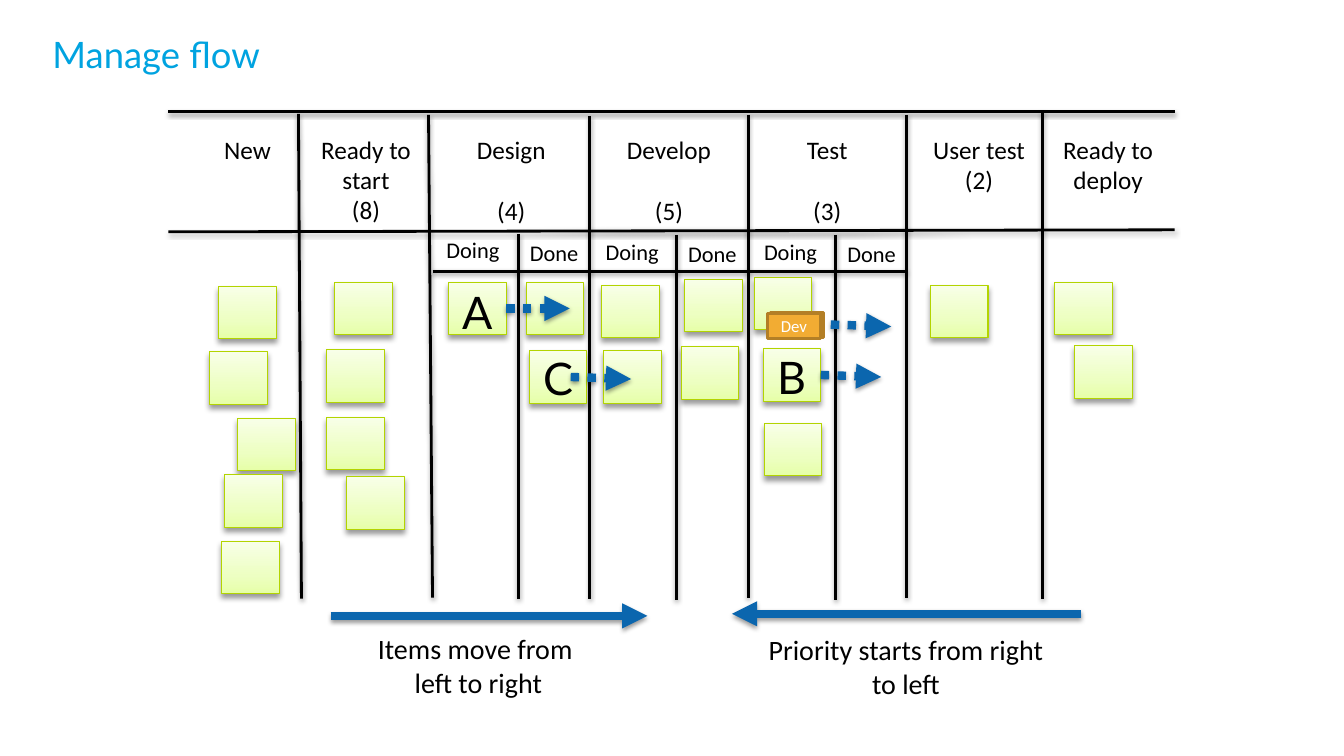
"""Build a Kanban board slide that shows how work items flow."""
import copy

import lxml.etree
import pptx
import pptx.dml.color
import pptx.enum.dml
import pptx.enum.shapes
import pptx.enum.text
import pptx.oxml.ns
import pptx.util

RGB = pptx.dml.color.RGBColor
BLACK = RGB(0x00, 0x00, 0x00)
WHITE = RGB(0xFF, 0xFF, 0xFF)
TITLE_BLUE = RGB(0x00, 0xA3, 0xE0)
ARROW_BLUE = RGB(0x0B, 0x66, 0xAE)
NOTE_EDGE = RGB(0xB3, 0xD4, 0x00)
NOTE_STOPS = [(0, RGB(0xE6, 0xFF, 0xA8)), (0.35, RGB(0xED, 0xFF, 0xC2)), (1, RGB(0xF8, 0xFF, 0xE8))]
TAG_FILL = RGB(0xF2, 0xAC, 0x33)
TAG_EDGE = RGB(0xB3, 0x7F, 0x26)

PX = 9144
NOTE_W, NOTE_H = 57, 52
RECT = pptx.enum.shapes.MSO_SHAPE.RECTANGLE
STRAIGHT = pptx.enum.shapes.MSO_CONNECTOR.STRAIGHT
CENTER = pptx.enum.text.PP_ALIGN.CENTER
LEFT = pptx.enum.text.PP_ALIGN.LEFT
MIDDLE = pptx.enum.text.MSO_ANCHOR.MIDDLE
GROW = pptx.enum.text.MSO_AUTO_SIZE.SHAPE_TO_FIT_TEXT
qn = pptx.oxml.ns.qn

RULES = [
    (167, 111, 1165, 111), (167, 230, 1165, 228), (429, 269, 899, 269),
    (296, 113, 299, 594), (425, 114, 429, 593), (585, 115, 585, 594),
    (742, 114, 742, 593), (899, 114, 899, 593), (1034, 110, 1034, 594),
]
HEADINGS = [
    (190, 111, 40, ["New"], 0), (301, 124, 101, ["Ready to start", "(8)"], 0),
    (427, 160, 101, ["Design", "(4)"], 22), (585, 157, 101, ["Develop", "(5)"], 22),
    (743, 155, 101, ["Test", "(3)"], 22), (909, 124, 101, ["User test", "(2)"], 0),
    (1033, 132, 71, ["Ready to deploy"], 0),
]
SPLITS = [(425, 229, 514, 232), (583, 231, 671, 233), (740, 231, 829, 233)]
NOTES = [
    (217, 284), (208, 349), (236, 415), (223, 471), (220, 537),
    (332, 280), (324, 347), (324, 414), (344, 473),
    (522, 280), (525, 348), (597, 283), (599, 348), (679, 277), (676, 344),
    (748, 275), (758, 420), (923, 283), (1046, 280), (1066, 343),
]


class Board:
    """Slide with the board's style and one method per kind of element."""

    def __init__(self, prs):
        self.shapes = prs.slides.add_slide(prs.slide_layouts[6]).shapes

    def shadow(self, sp, blur, dist, alpha):
        effects = lxml.etree.SubElement(sp.element.spPr, qn("a:effectLst"))
        outer = lxml.etree.SubElement(
            effects, qn("a:outerShdw"), blurRad=str(blur), dist=str(dist),
            dir="5400000", rotWithShape="0")
        color = lxml.etree.SubElement(outer, qn("a:srgbClr"), val="000000")
        lxml.etree.SubElement(color, qn("a:alpha"), val=str(alpha))

    def add_lines(self, tf, lines, size, color=BLACK, font="Calibri", align=CENTER, gap=0):
        for i, line in enumerate(lines):
            p = tf.add_paragraph() if i else tf.paragraphs[0]
            p.alignment = align
            if i and gap:
                p.space_before = pptx.util.Pt(gap)
            r = p.add_run()
            r.text = line
            r.font.size = pptx.util.Pt(size)
            r.font.name = font
            r.font.color.rgb = color

    def text(self, x, y, w, h, lines, size, wrap=True, anchor=None, **style):
        tf = self.shapes.add_textbox(x * PX, y * PX, w * PX, h * PX).text_frame
        tf.word_wrap = wrap
        tf.auto_size = GROW
        if anchor is not None:
            tf.vertical_anchor = anchor
        self.add_lines(tf, lines, size, **style)
        return tf

    def title(self, x, y, w, h, line):
        tf = self.text(x, y, w, h, [line], 26, color=TITLE_BLUE, font="Lato", align=LEFT)
        tf.auto_size = pptx.enum.text.MSO_AUTO_SIZE.NONE
        tf.margin_left = tf.margin_top = tf.margin_right = tf.margin_bottom = 0

    def rule(self, x1, y1, x2, y2, color=BLACK, width=2):
        sp = self.shapes.add_connector(STRAIGHT, x1 * PX, y1 * PX, x2 * PX, y2 * PX)
        sp.line.color.rgb = color
        sp.line.width = pptx.util.Pt(width)
        self.shadow(sp, 40000, 20000, 38000)
        return sp

    def arrow(self, x1, y1, x2, y2, dotted=False, source=None):
        sp = self.rule(x1, y1, x2, y2, ARROW_BLUE, 6)
        if dotted:
            sp.line.dash_style = pptx.enum.dml.MSO_LINE.ROUND_DOT
        lxml.etree.SubElement(sp.element.spPr.find(qn("a:ln")), qn("a:tailEnd"), type="triangle")
        if source is not None:
            sp.begin_connect(source, 3)

    def rect(self, x, y, w, h, edge, width):
        sp = self.shapes.add_shape(RECT, x * PX, y * PX, w * PX, h * PX)
        sp.line.color.rgb = edge
        sp.line.width = pptx.util.Pt(width)
        return sp

    def note(self, x, y):
        sp = self.rect(x, y, NOTE_W, NOTE_H, NOTE_EDGE, 0.75)
        sp.fill.gradient()
        sp.fill.gradient_angle = 90
        stops = sp.element.spPr.find(".//" + qn("a:gsLst"))
        stops.insert(1, copy.deepcopy(stops[0]))
        for stop, (position, color) in zip(sp.fill.gradient_stops, NOTE_STOPS):
            stop.position = position
            stop.color.rgb = color
        self.shadow(sp, 50800, 38100, 40000)
        return sp

    def tag(self, x, y, lines):
        sp = self.rect(x, y, 53, 25, TAG_EDGE, 2)
        sp.fill.solid()
        sp.fill.fore_color.rgb = TAG_FILL
        sp.shadow.inherit = False
        sp.text_frame.vertical_anchor = MIDDLE
        self.add_lines(sp.text_frame, lines, 12, WHITE)


def main():
    prs = pptx.Presentation()
    prs.slide_width, prs.slide_height = 1333 * PX, 750 * PX
    s = Board(prs)
    s.title(52, 32, 1229, 83, "Manage flow")

    for ends in RULES:
        s.rule(*ends)
    for x, w, h, lines, gap in HEADINGS:
        s.text(x, 128, w, h, lines, 18, gap=gap)
    for doing_x, doing_y, done_x, done_y in SPLITS:
        s.rule(done_x, done_y, done_x, done_y + 362)
        s.text(doing_x, doing_y, 88, 37, ["Doing"], 16)
        s.text(done_x, done_y, 71, 37, ["Done"], 16)

    for x, y in NOTES:
        s.note(x, y)
    note_a = s.note(445, 280)
    note_b = s.note(757, 346)
    s.tag(764, 310, [])
    s.tag(761, 311, ["Dev"])

    s.arrow(502, 306, 565, 306, True, note_a)
    s.arrow(814, 372, 874, 374, True, note_b)
    s.arrow(824, 322, 884, 324, True)
    s.arrow(566, 374, 626, 376, True)
    s.arrow(328, 611, 642, 611)
    s.arrow(1072, 609, 726, 609)

    s.text(293, 622, 363, 77, ["Items move from ", "left to right"], 20)
    s.text(738, 623, 321, 77, ["Priority starts from right to left"], 20)
    s.text(445, 277, 57, 64, ["A"], 32, anchor=MIDDLE, font="Lato")
    s.text(761, 342, 47, 64, ["B"], 32, wrap=False, font="Lato")
    s.text(527, 343, 53, 64, ["C"], 32, wrap=False, font="Lato")
    prs.save("out.pptx")


if __name__ == "__main__":
    main()
